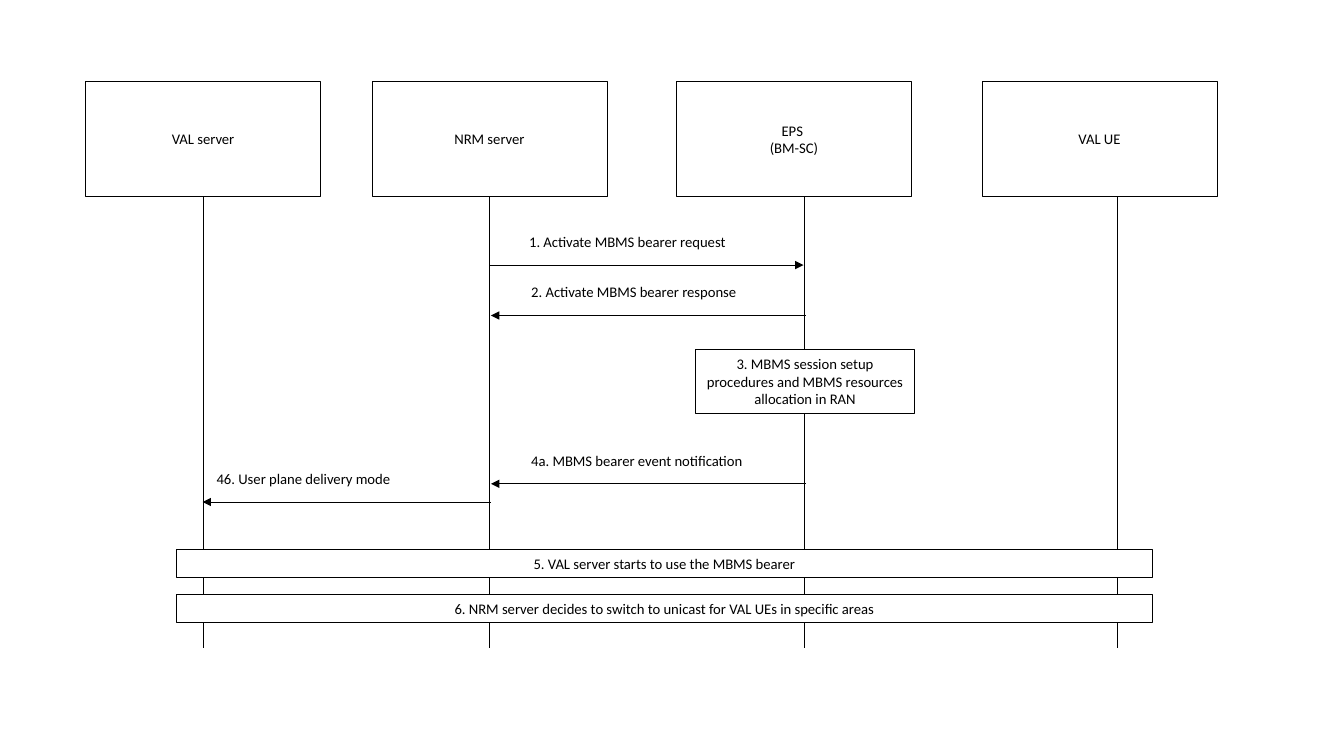
from lxml.etree import SubElement
from pptx import Presentation
from pptx.dml.color import RGBColor
from pptx.enum.shapes import MSO_CONNECTOR, MSO_SHAPE
from pptx.enum.text import MSO_ANCHOR, PP_ALIGN
from pptx.oxml.ns import qn
from pptx.util import Inches, Pt

BLACK = RGBColor(0x00, 0x00, 0x00)
WHITE = RGBColor(0xFF, 0xFF, 0xFF)

HEAD_TOP, HEAD_WIDTH, HEAD_HEIGHT = 0.81, 2.33, 1.14
HEAD_BOTTOM = HEAD_TOP + HEAD_HEIGHT
LIFELINE_END = 6.43
LABEL_RISE, LABEL_HEIGHT = 0.37, 0.28

PARTICIPANTS = [
    (["VAL server"], 0.85, 0),
    (["NRM server"], 3.69, 0),
    (["EPS ", "(BM-SC)"], 6.71, 0.1),
    (["VAL UE"], 9.74, 0.18),
]
MESSAGES = [
    ("1. Activate MBMS bearer request", 4.86, 7.97, 2.63, 5.15, 2.2),
    ("2. Activate MBMS bearer response", 7.99, 4.87, 3.13, 5.17, 2.28),
    ("4a. MBMS bearer event notification", 7.99, 4.87, 4.8, 5.17, 2.34),
    ("46. User plane delivery mode", 4.87, 2.01, 4.98, 2.05, 1.95),
]
STEPS = [
    ("3. MBMS session setup procedures and MBMS resources allocation in RAN",
     6.9, 3.47, 2.17, 0.63),
    ("5. VAL server starts to use the MBMS bearer", 1.75, 5.45, 9.68, 0.28),
    ("6. NRM server decides to switch to unicast for VAL UEs in specific areas",
     1.75, 5.9, 9.68, 0.28),
]


class SequenceDiagram:
    """Draws the parts of a sequence diagram in one style on one slide."""

    font_name = "Calibri"
    font_size = Pt(10.5)

    def __init__(self, slide):
        self.slide = slide

    def add_lines(self, frame, lines, align):
        for number, line in enumerate(lines):
            paragraph = frame.add_paragraph() if number else frame.paragraphs[0]
            paragraph.alignment = align
            run = paragraph.add_run()
            run.text = line
            run.font.name = self.font_name
            run.font.size = self.font_size
            run.font.color.rgb = BLACK

    def box(self, lines, left, top, width, height, weight, fill=None):
        box = self.slide.shapes.add_shape(
            MSO_SHAPE.RECTANGLE,
            Inches(left), Inches(top), Inches(width), Inches(height))
        box.shadow.inherit = False
        if fill is None:
            box.fill.background()
        else:
            box.fill.solid()
            box.fill.fore_color.rgb = fill
        box.line.color.rgb = BLACK
        box.line.width = Pt(weight)
        box.text_frame.word_wrap = True
        box.text_frame.vertical_anchor = MSO_ANCHOR.MIDDLE
        self.add_lines(box.text_frame, lines, PP_ALIGN.CENTER)
        return box

    def line(self, start_x, start_y, end_x, end_y, arrow=False):
        line = self.slide.shapes.add_connector(
            MSO_CONNECTOR.STRAIGHT,
            Inches(start_x), Inches(start_y), Inches(end_x), Inches(end_y))
        line.line.color.rgb = BLACK
        line.line.width = Pt(0.5)
        properties = line._element.spPr
        if arrow:
            SubElement(properties.get_or_add_ln(), qn("a:tailEnd"), type="triangle")
        SubElement(properties, qn("a:effectLst"))
        return line

    def participant(self, lines, left, offset):
        head = self.box(lines, left, HEAD_TOP, HEAD_WIDTH, HEAD_HEIGHT, 0.25)
        x = left + HEAD_WIDTH / 2 + offset
        lifeline = self.line(x, HEAD_BOTTOM, x, LIFELINE_END)
        if not offset:
            lifeline.begin_connect(head, 2)

    def message(self, text, start_x, end_x, y, label_left, label_width):
        self.line(start_x, y, end_x, y, arrow=True)
        label = self.slide.shapes.add_textbox(
            Inches(label_left), Inches(y - LABEL_RISE),
            Inches(label_width), Inches(LABEL_HEIGHT))
        label.text_frame.word_wrap = False
        self.add_lines(label.text_frame, [text], PP_ALIGN.LEFT)

    def step(self, text, left, top, width, height):
        self.box([text], left, top, width, height, 0.75, WHITE)


def main():
    presentation = Presentation()
    presentation.slide_width = Inches(13.33)
    presentation.slide_height = Inches(7.5)
    diagram = SequenceDiagram(
        presentation.slides.add_slide(presentation.slide_layouts[6]))
    for participant in PARTICIPANTS:
        diagram.participant(*participant)
    for message in MESSAGES:
        diagram.message(*message)
    for step in STEPS:
        diagram.step(*step)
    presentation.save("out.pptx")


if __name__ == "__main__":
    main()
